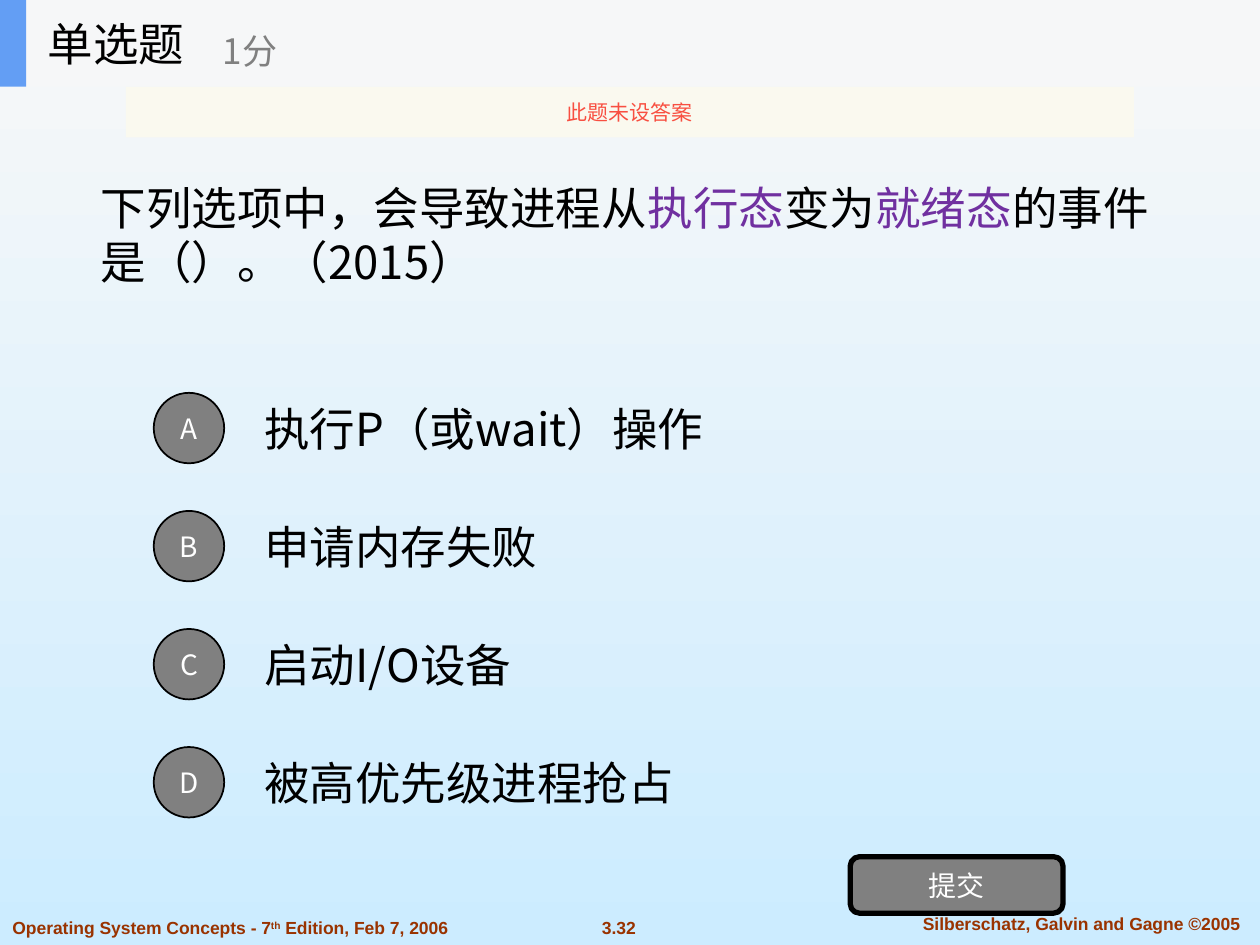
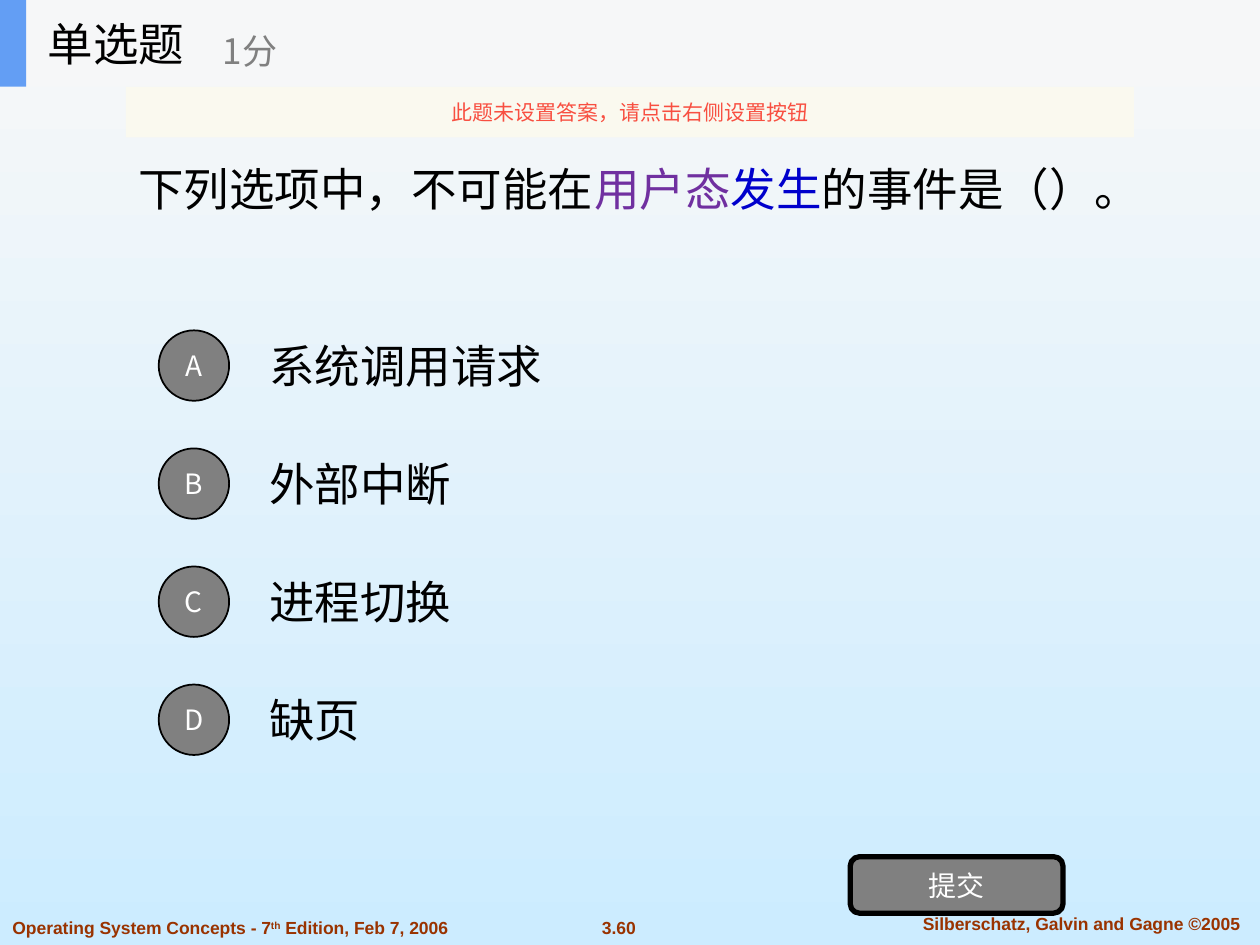
from dataclasses import dataclass

import lxml.etree
import pptx
import pptx.dml.color
import pptx.enum.shapes
import pptx.enum.text
import pptx.oxml.ns
import pptx.util

Cm = pptx.util.Cm
Pt = pptx.util.Pt
ALIGN = pptx.enum.text.PP_ALIGN
ANCHOR = pptx.enum.text.MSO_ANCHOR
SHAPE = pptx.enum.shapes.MSO_SHAPE


@dataclass(frozen=True)
class Theme:
    body_font: str = "Noto Sans CJK SC"
    footer_font: str = "Arial"
    ink: str = "000000"
    white: str = "FFFFFF"
    gray: str = "808080"
    purple: str = "7030A0"
    blue: str = "0000CC"
    footer: str = "993300"
    warning: str = "F84F41"
    warning_band: str = "FBFAEF"
    header_band: str = "F6F7F8"
    accent: str = "639EF4"
    background_top: str = "F8F8F8"
    background_bottom: str = "CCECFF"
    main_size: int = 26
    points_size: int = 20
    button_size: int = 16
    warning_size: int = 12
    footer_size: int = 10


THEME = Theme()
SLIDE_WIDTH, SLIDE_HEIGHT = 25.4, 19.05
HEADER_HEIGHT = 1.75
OPTION_PITCH = 2.38
OPTION_HEIGHT = 1.78
BADGE_SIZE = 1.42
BADGE_TO_TEXT = 1.98


def rgb(color):
    return pptx.dml.color.RGBColor.from_string(color)


def add_run(paragraph, text, size, color, font=THEME.body_font, bold=False, baseline=0):
    """Add one run; baseline is the raise of a superscript in percent."""
    run = paragraph.add_run()
    run.text = text
    run.font.size = Pt(size)
    run.font.bold = bold
    run.font.color.rgb = rgb(color)
    run.font.name = font
    properties = run._r.get_or_add_rPr()
    east_asian = lxml.etree.SubElement(properties, pptx.oxml.ns.qn("a:ea"))
    east_asian.set("typeface", font)
    if baseline:
        properties.set("baseline", str(baseline * 1000))


def add_text(slide, box, runs, size, align=ALIGN.LEFT, anchor=ANCHOR.MIDDLE, **style):
    """Add a text box; each run is (text, color) or (text, color, baseline)."""
    frame = slide.shapes.add_textbox(*map(Cm, box)).text_frame
    frame.word_wrap = True
    frame.vertical_anchor = anchor
    paragraph = frame.paragraphs[0]
    paragraph.alignment = align
    for text, color, *baseline in runs:
        add_run(paragraph, text, size, color,
                baseline=baseline[0] if baseline else 0, **style)


def add_block(slide, kind, box, fill, line_width=0, label="", size=0, color=THEME.white):
    """Add a filled preset shape with an optional outline and centred label."""
    shape = slide.shapes.add_shape(kind, *map(Cm, box))
    shape.shadow.inherit = False
    shape.fill.solid()
    shape.fill.fore_color.rgb = rgb(fill)
    if line_width:
        shape.line.width = Pt(line_width)
        shape.line.color.rgb = rgb(THEME.ink)
    else:
        shape.line.fill.background()
    if label:
        frame = shape.text_frame
        frame.margin_left = frame.margin_right = 0
        frame.margin_top = frame.margin_bottom = 0
        frame.vertical_anchor = ANCHOR.MIDDLE
        paragraph = frame.paragraphs[0]
        paragraph.alignment = ALIGN.CENTER
        add_run(paragraph, label, size, color)
    return shape


def set_opacity(shape, percent):
    color = shape.fill._xPr.find(".//" + pptx.oxml.ns.qn("a:srgbClr"))
    alpha = lxml.etree.SubElement(color, pptx.oxml.ns.qn("a:alpha"))
    alpha.set("val", str(percent * 1000))


def set_background(slide):
    fill = slide.background.fill
    fill.gradient()
    fill.gradient_angle = 270
    colors = (THEME.background_top, THEME.background_bottom)
    for stop, color in zip(fill.gradient_stops, colors):
        stop.color.rgb = rgb(color)


def add_footer(slide, page):
    edition = [("Operating System Concepts - 7", THEME.footer),
               ("th", THEME.footer, 30),
               (" Edition, Feb 7, 2006", THEME.footer)]
    authors = [("Silberschatz, Galvin and Gagne ©2005", THEME.footer)]
    for box, runs, align in (
        ((0, 18.36, 10.39, 0.69), edition, ALIGN.LEFT),
        ((11.66, 18.36, 1.63, 0.69), [(page, THEME.footer)], ALIGN.CENTER),
        ((18.03, 18.29, 7.54, 0.69), authors, ALIGN.CENTER),
    ):
        add_text(slide, box, runs, THEME.footer_size, align, ANCHOR.TOP,
                 font=THEME.footer_font, bold=True)


def add_header(slide, warning):
    add_block(slide, SHAPE.RECTANGLE, (0, 0, SLIDE_WIDTH, HEADER_HEIGHT), THEME.header_band)
    add_block(slide, SHAPE.RECTANGLE, (0, 0, 0.53, HEADER_HEIGHT), THEME.accent)
    add_text(slide, (0.71, 0, 5.28, HEADER_HEIGHT), [("单选题", THEME.ink)], THEME.main_size)
    add_text(slide, (4.24, 0.3, 6.35, 1.42), [("1分", THEME.gray)], THEME.points_size)
    band = add_block(slide, SHAPE.RECTANGLE, (2.54, HEADER_HEIGHT, 20.32, 1.02),
                     THEME.warning_band, label=warning,
                     size=THEME.warning_size, color=THEME.warning)
    set_opacity(band, 90)


def add_options(slide, left, top, options):
    inset = (OPTION_HEIGHT - BADGE_SIZE) / 2
    for index, (letter, option) in enumerate(zip("ABCD", options)):
        row_top = top + index * OPTION_PITCH
        add_text(slide, (left + BADGE_TO_TEXT, row_top, 17.78, OPTION_HEIGHT),
                 [(option, THEME.ink)], THEME.main_size)
        add_block(slide, SHAPE.OVAL, (left, row_top + inset, BADGE_SIZE, BADGE_SIZE),
                  THEME.gray, 1, letter, THEME.button_size)


def add_question_slide(presentation, page, warning, question_box, question,
                       options_left, options_top, options):
    slide = presentation.slides.add_slide(presentation.slide_layouts[6])
    set_background(slide)
    add_footer(slide, page)
    add_text(slide, question_box, question, THEME.main_size)
    add_options(slide, options_left, options_top, options)
    add_block(slide, SHAPE.ROUNDED_RECTANGLE, (17.14, 17.27, 4.29, 1.14),
              THEME.gray, 3, "提交", THEME.button_size)
    add_header(slide, warning)


def main():
    presentation = pptx.Presentation()
    presentation.slide_width = Cm(SLIDE_WIDTH)
    presentation.slide_height = Cm(SLIDE_HEIGHT)
    add_question_slide(
        presentation, "3.32", "此题未设答案",
        question_box=(1.78, 1.75, 22.45, 5.94),
        question=[("下列选项中，会导致进程从", THEME.ink), ("执行态", THEME.purple),
                  ("变为", THEME.ink), ("就绪态", THEME.purple),
                  ("的事件是（）。（2015）", THEME.ink)],
        options_left=3.1, options_top=7.74,
        options=["执行P（或wait）操作", "申请内存失败", "启动I/O设备", "被高优先级进程抢占"])
    add_question_slide(
        presentation, "3.60", "此题未设置答案，请点击右侧设置按钮",
        question_box=(2.54, 1.75, 21.69, 4.11),
        question=[("下列选项中，不可能在", THEME.ink), ("用户态", THEME.purple),
                  ("发生", THEME.blue), ("的事件是（）。", THEME.ink)],
        options_left=3.2, options_top=6.48,
        options=["系统调用请求", "外部中断", "进程切换", "缺页"])
    presentation.save("out.pptx")


if __name__ == "__main__":
    main()
